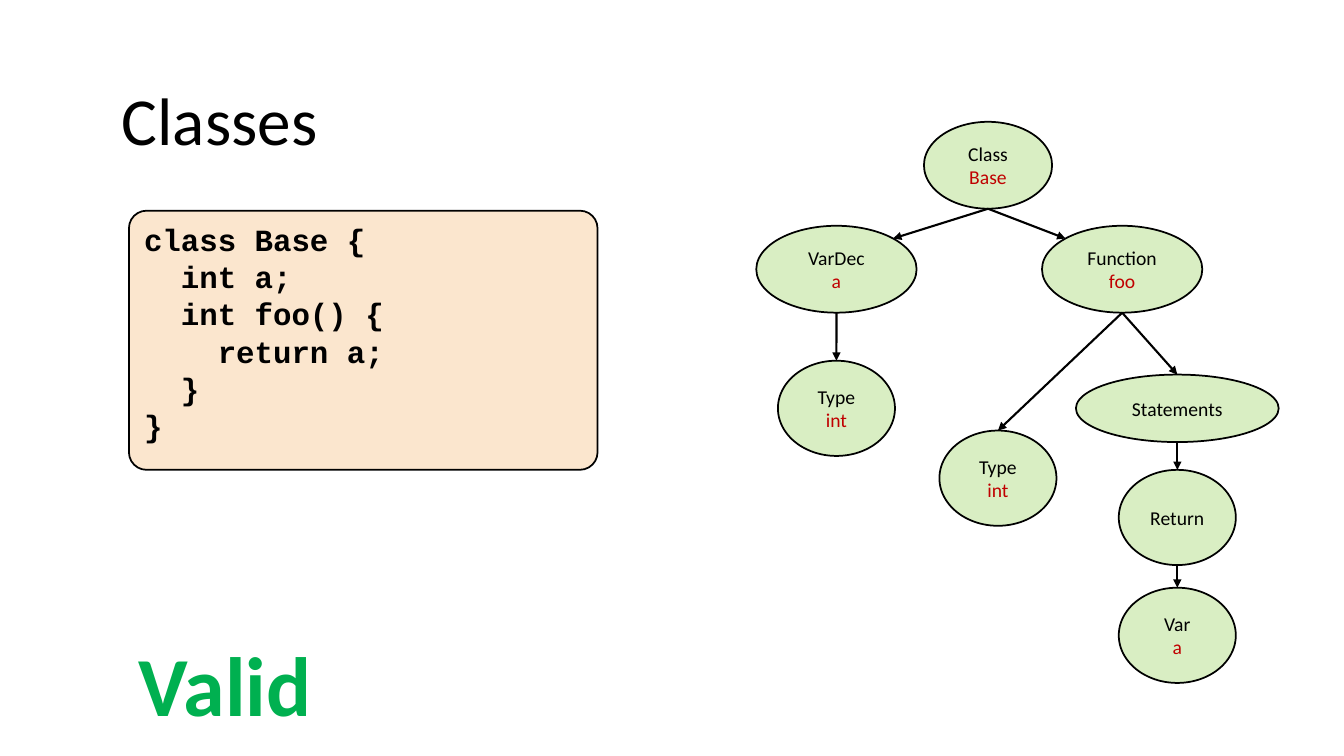
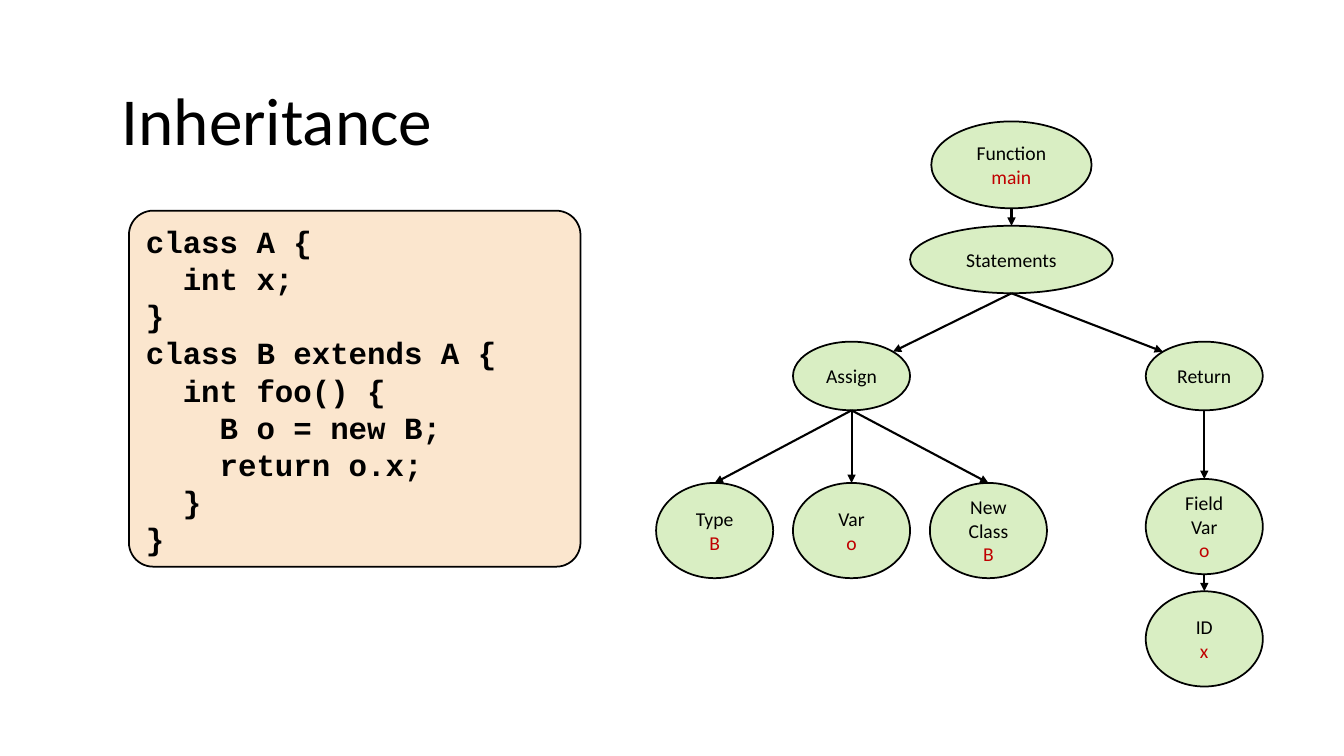
from lxml.etree import SubElement
from pptx import Presentation
from pptx.dml.color import RGBColor
from pptx.enum.shapes import MSO_CONNECTOR, MSO_SHAPE
from pptx.enum.text import MSO_ANCHOR, PP_ALIGN
from pptx.oxml.ns import qn
from pptx.util import Cm, Pt

BLACK, NAME_RED, VALID_GREEN = "000000", "C00000", "00B050"
NODE_GREEN, CODE_CREAM = "92D050", "FBE6CE"
NODE_OPACITY = 34
TOP, TOP_LEFT, BOTTOM, TOP_RIGHT = 0, 1, 4, 7
DIAGONAL = 0.5 ** 0.5
SITES = {TOP: (0, -1), TOP_LEFT: (-DIAGONAL, -DIAGONAL),
         BOTTOM: (0, 1), TOP_RIGHT: (DIAGONAL, -DIAGONAL)}

NODE_SIZES = {
    "class": (3.23, 2.19),
    "declaration": (4.04, 2.19),
    "block": (5.11, 1.7),
    "statement": (2.95, 1.73),
    "leaf": (2.95, 2.4),
}

# Each node: kind, labels, declared name, centre x, top
SLIDES = [
    {
        "title": "Classes",
        "code": ["class Base {", "  int a;", "  int foo() {", "    return a;", "  }", "}"],
        "code_size": (11.81, 6.53),
        "verdict": "Valid",
        "nodes": {
            "base": ("class", ["Class"], "Base", 24.9, 3.07),
            "field": ("declaration", ["VarDec"], "a", 21.08, 5.69),
            "foo": ("declaration", ["Function"], "foo", 28.28, 5.69),
            "field type": ("leaf", ["Type"], "int", 21.08, 9.09),
            "foo type": ("leaf", ["Type"], "int", 25.15, 10.85),
            "body": ("block", ["Statements"], None, 29.67, 9.44),
            "return": ("leaf", ["Return"], None, 29.67, 11.84),
            "var": ("leaf", ["Var"], "a", 29.67, 14.81),
        },
        "edges": [
            ("base", "field", TOP_RIGHT), ("base", "foo", TOP_LEFT),
            ("field", "field type", TOP), ("foo", "foo type", TOP),
            ("foo", "body", TOP), ("body", "return", TOP), ("return", "var", TOP),
        ],
    },
    {
        "title": "Inheritance",
        "code": ["class A {", "  int x;", "}", "class B extends A {", "  int foo() {",
                 "    B o = new B;", "    return o.x;", "  }", "}"],
        "code_size": (11.38, 8.97),
        "verdict": None,
        "nodes": {
            "main": ("declaration", ["Function"], "main", 25.49, 3.06),
            "body": ("block", ["Statements"], None, 25.49, 5.69),
            "assign": ("statement", ["Assign"], None, 21.46, 8.61),
            "return": ("statement", ["Return"], None, 30.35, 8.61),
            "type": ("leaf", ["Type"], "B", 18.01, 12.17),
            "var": ("leaf", ["Var"], "o", 21.46, 12.17),
            "new": ("leaf", ["New", "Class"], "B", 24.91, 12.17),
            "field": ("leaf", ["Field", "Var"], "o", 30.35, 12.07),
            "id": ("leaf", ["ID"], "x", 30.35, 14.9),
        },
        "edges": [
            ("main", "body", TOP), ("body", "assign", TOP_RIGHT),
            ("body", "return", TOP_LEFT), ("assign", "type", TOP),
            ("assign", "var", TOP), ("assign", "new", TOP),
            ("return", "field", TOP), ("field", "id", TOP),
        ],
    },
]


def rgb(color):
    return RGBColor.from_string(color)


def write(shape, lines, size, font="Calibri", bold=False, colors=(BLACK,),
          align=PP_ALIGN.LEFT, anchor=MSO_ANCHOR.TOP, spacing=None):
    frame = shape.text_frame
    frame.word_wrap = True
    frame.vertical_anchor = anchor
    for index, line in enumerate(lines):
        paragraph = frame.paragraphs[0] if index == 0 else frame.add_paragraph()
        paragraph.alignment = align
        if spacing:
            paragraph.line_spacing = Pt(spacing)
        run = paragraph.add_run()
        run.text = line
        run.font.name = font
        run.font.size = Pt(size)
        run.font.bold = bold
        run.font.color.rgb = rgb(colors[min(index, len(colors) - 1)])


def add_heading(slide, text, box, **text_format):
    write(slide.shapes.add_textbox(*map(Cm, box)), [text], **text_format)


def add_panel(slide, preset, box, fill):
    panel = slide.shapes.add_shape(preset, *map(Cm, box))
    panel.shadow.inherit = False
    panel.fill.solid()
    panel.fill.fore_color.rgb = rgb(fill)
    panel.line.color.rgb = rgb(BLACK)
    panel.line.width = Pt(1.25)
    return panel


def add_node(slide, kind, labels, name, center, top):
    width, height = NODE_SIZES[kind]
    node = add_panel(slide, MSO_SHAPE.OVAL, (center - width / 2, top, width, height), NODE_GREEN)
    tint = node._element.spPr.find(".//" + qn("a:srgbClr"))
    SubElement(tint, qn("a:alpha"), val=str(NODE_OPACITY * 1000))
    write(node, labels + ([name] if name else []), 14,
          colors=[BLACK] * len(labels) + [NAME_RED],
          align=PP_ALIGN.CENTER, anchor=MSO_ANCHOR.MIDDLE)
    return node


def site_point(node, site):
    across, down = SITES[site]
    return (round(node.left + node.width / 2 * (1 + across)),
            round(node.top + node.height / 2 * (1 + down)))


def add_edge(slide, parent, child, child_site):
    edge = slide.shapes.add_connector(
        MSO_CONNECTOR.STRAIGHT, *site_point(parent, BOTTOM), *site_point(child, child_site))
    edge.line.color.rgb = rgb(BLACK)
    edge.line.width = Pt(1.5)
    SubElement(edge.line._get_or_add_ln(), qn("a:tailEnd"), type="triangle")
    SubElement(edge._element.spPr, qn("a:effectLst"))
    joints = edge._element.find(".//" + qn("p:cNvCxnSpPr"))
    for tag, node, site in (("a:stCxn", parent, BOTTOM), ("a:endCxn", child, child_site)):
        SubElement(joints, qn(tag), id=str(node.shape_id), idx=str(site))


def build_slide(deck, content):
    slide = deck.slides.add_slide(deck.slide_layouts[6])
    add_heading(slide, content["title"], (2.82, 1.85, 28.17, 2.31), size=48)
    nodes = {key: add_node(slide, *node) for key, node in content["nodes"].items()}
    for parent, child, site in content["edges"]:
        add_edge(slide, nodes[parent], nodes[child], site)
    code = add_panel(slide, MSO_SHAPE.ROUNDED_RECTANGLE,
                     (3.25, 5.31, *content["code_size"]), CODE_CREAM)
    code.adjustments[0] = 0.068
    write(code, content["code"], 22, font="Courier New", bold=True, spacing=26.5)
    if content["verdict"]:
        add_heading(slide, content["verdict"], (3.25, 15.82, 7.77, 2.82),
                    size=60, bold=True, colors=(VALID_GREEN,))


def main():
    deck = Presentation()
    deck.slide_width, deck.slide_height = Cm(33.87), Cm(19.05)
    for content in SLIDES:
        build_slide(deck, content)
    deck.save("out.pptx")


if __name__ == "__main__":
    main()
